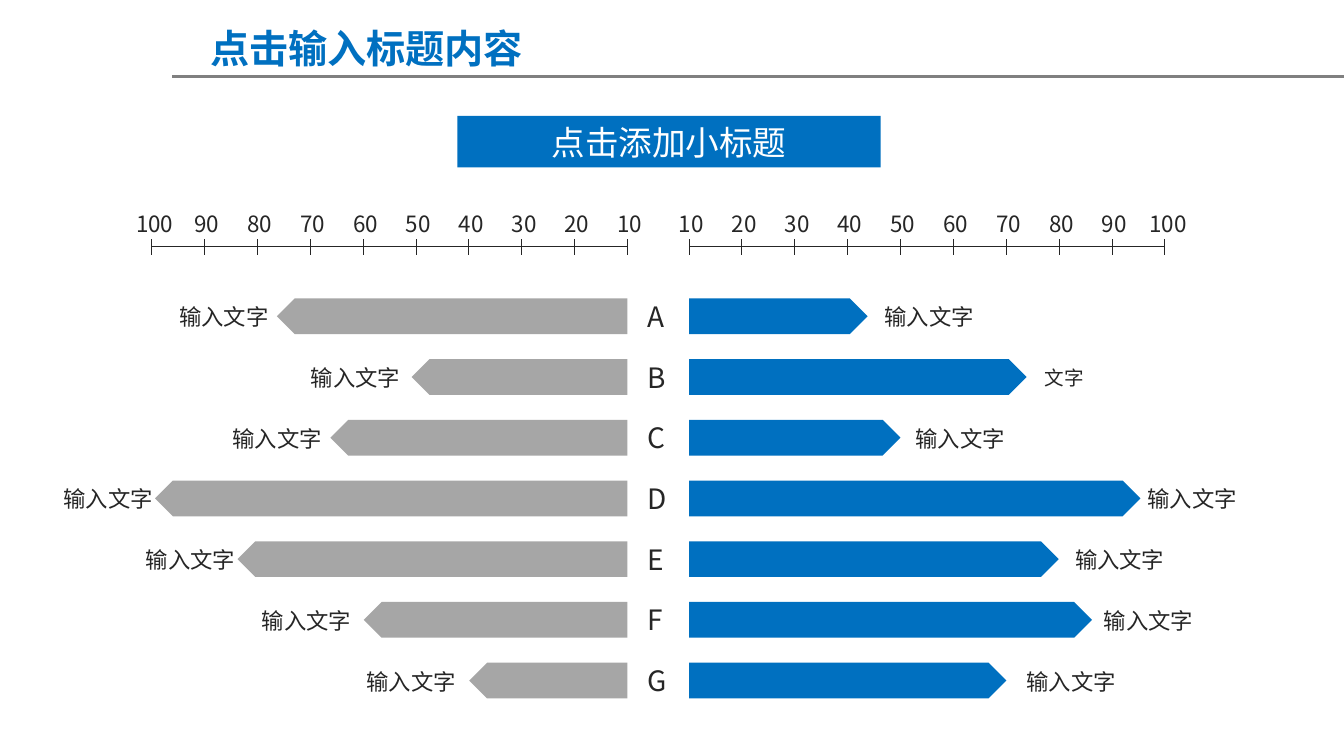
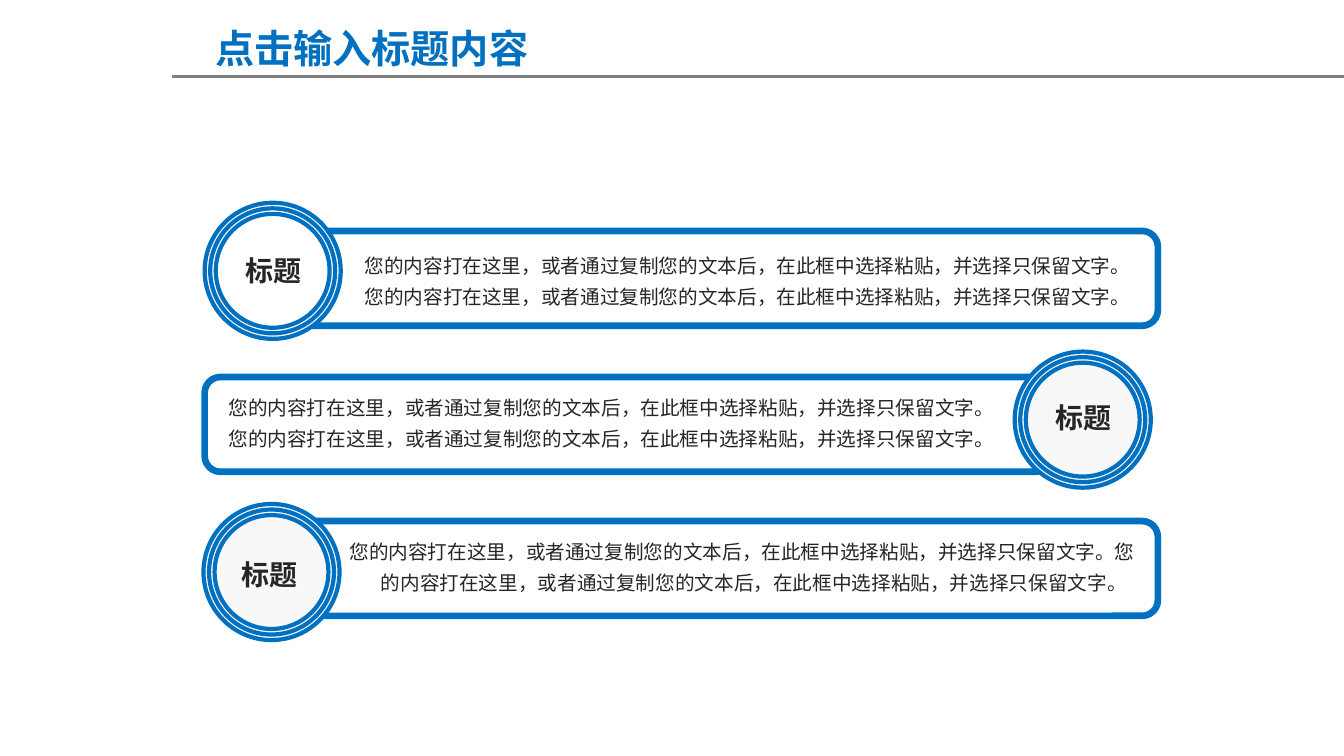
from dataclasses import dataclass

from lxml import etree
from pptx import Presentation
from pptx import util as u
from pptx.dml.color import RGBColor
from pptx.enum import shapes, text
from pptx.oxml.ns import qn

Cm = u.Cm
Kind = shapes.MSO_SHAPE
Align = text.PP_ALIGN


@dataclass(frozen=True)
class Theme:
    """Colours, font and type sizes of the deck."""
    blue: str = "0070C0"
    gray: str = "A6A6A6"
    rule: str = "808080"
    ink: str = "262626"
    pale: str = "F8F8F8"
    white: str = "FFFFFF"
    font: str = "Noto Sans CJK SC"
    title: int = 28
    banner: int = 24
    head: int = 20
    label: int = 16
    body: int = 14


T = Theme()
WIDE, HIGH = 33.88, 19.05
SCALE = [str(n) for n in range(10, 101, 10)]
STEP, AXIS = 1.333, 6.22
LEFT, RIGHT = 15.82, 17.37
TOP, PITCH, BAR = 7.52, 1.53, 0.9
WORD = "输入文字"
ROWS = [
    ("A", 8.84, 4.27, 4.5, 22.05, WORD),
    ("B", 5.44, 7.59, 8.51, 26.09, "文字"),
    ("C", 7.49, 5.61, 5.33, 22.83, WORD),
    ("D", 11.91, 1.35, 11.38, 28.68, WORD),
    ("E", 9.83, 3.43, 9.32, 26.85, WORD),
    ("F", 6.65, 6.35, 10.16, 27.58, WORD),
    ("G", 3.99, 8.99, 8.0, 25.63, WORD),
]
LINE = "您的内容打在这里，或者通过复制您的文本后，在此框中选择粘贴，并选择只保留文字。"
CARDS = [
    dict(frame=(7.52, 5.82, 21.67, 2.39), ring=(5.16, 5.11), core=T.white,
         cap=(5.21, 6.27, 3.38, 1.12), side=Align.CENTER,
         body=(8.94, 6.1, 19.86, 1.73), hang=0),
    dict(frame=(5.16, 9.5, 21.34, 2.39), ring=(25.58, 8.86), core=None,
         cap=(26.37, 9.98, 2.77, 1.12), side=Align.LEFT,
         body=(5.51, 9.68, 19.91, 2.49), hang=0),
    dict(frame=(7.52, 13.13, 21.67, 2.39), ring=(5.13, 12.7), core=None,
         cap=(5.84, 13.92, 3.18, 1.12), side=Align.LEFT,
         body=(8.56, 13.31, 20.6, 1.73), hang=0.79),
]


def rgb(code):
    """Turn a hex code into a colour."""
    return RGBColor.from_string(code)


def write(para, words, size, color=T.ink, bold=False):
    """Add one formatted run to a paragraph."""
    run = para.add_run()
    run.text = words
    font = run.font
    font.size, font.bold, font.name = u.Pt(size), bold, T.font
    font.color.rgb = rgb(color)
    east = etree.SubElement(run._r.get_or_add_rPr(), qn("a:ea"))
    east.set("typeface", T.font)


def label(host, box, words, size, wrap=True, bold=False, side=Align.LEFT):
    """Add a text box and return its paragraph."""
    frame = host.add_textbox(*map(Cm, box)).text_frame
    frame.word_wrap = wrap
    frame.auto_size = text.MSO_AUTO_SIZE.SHAPE_TO_FIT_TEXT
    para = frame.paragraphs[0]
    para.alignment = side
    write(para, words, size, bold=bold)
    return para


def block(host, kind, box, fill=None, width=0):
    """Add a preset shape with an optional fill and blue outline."""
    shape = host.add_shape(kind, *map(Cm, box))
    shape.shadow.inherit = False
    if fill:
        shape.fill.solid()
        shape.fill.fore_color.rgb = rgb(fill)
    else:
        shape.fill.background()
    if width:
        shape.line.color.rgb = rgb(T.blue)
        shape.line.width = u.Pt(width)
    else:
        shape.line.fill.background()
    return shape


def stroke(host, ends, color=T.ink, width=0.75):
    """Add a straight line without a shadow."""
    line = host.add_connector(shapes.MSO_CONNECTOR.STRAIGHT, *map(Cm, ends))
    line.line.color.rgb = rgb(color)
    line.line.width = u.Pt(width)
    etree.SubElement(line._element.spPr, qn("a:effectLst"))
    return line


def page(deck, layout, left):
    """Add a slide with the shared title style."""
    slide = deck.slides.add_slide(layout)
    title = slide.shapes.title
    title.left, title.top, title.width, title.height = map(
        Cm, (left, 0.48, 9.14, 1.45))
    frame = title.text_frame
    frame.vertical_anchor = text.MSO_ANCHOR.TOP
    frame.auto_size = text.MSO_AUTO_SIZE.SHAPE_TO_FIT_TEXT
    para = frame.paragraphs[0]
    para.alignment = Align.CENTER
    write(para, "点击输入标题内容", T.title, T.blue, True)
    return slide


def axis(host, start, way):
    """Draw a scale running left (-1) or right (1) from its start."""
    marks = [start + way * STEP * i for i in range(len(SCALE))]
    group = host.add_group_shape().shapes
    stroke(group, (min(marks), AXIS, max(marks), AXIS))
    for x in marks:
        stroke(group, (x, AXIS + 0.2, x, AXIS - 0.2))
    for x, tag in zip(marks, SCALE):
        wide = 0.47 + 0.35 * len(tag)
        mid = x + 0.04 * len(tag)
        label(host, (mid - wide / 2, 5.18, wide, 0.94), tag, T.label, False)


def pair(host, y, row):
    """Draw a letter with its left and right bars and labels."""
    name, back, near, ahead, far, words = row
    arrow = block(host, Kind.PENTAGON, (LEFT - back, y, back, BAR), T.gray)
    arrow._element.spPr.xfrm.set("flipH", "1")
    block(host, Kind.PENTAGON, (RIGHT, y, ahead, BAR), T.blue)
    label(host, (near, y, 2.79, 0.94), WORD, T.label, False)
    if words == WORD:
        label(host, (far, y, 2.79, 0.94), words, T.label, False)
    else:
        label(host, (far, y + 0.04, 1.5, 0.86), words, T.body, False)
    label(host, (16.08, y - 0.1, 1.1, 1.12), name, T.head)


def ring(host, x, y, core):
    """Draw three nested circles."""
    group = host.add_group_shape().shapes
    for i, fill in enumerate((T.pale, core, None)):
        gap, size = 0.14 * i, 3.43 - 0.28 * i
        block(group, Kind.OVAL, (x + gap, y + gap, size, size), fill, 3)


def card(host, frame, ring_at, core, cap, side, body, hang):
    """Draw a framed paragraph with a round heading."""
    block(host, Kind.ROUNDED_RECTANGLE, frame, width=4.75)
    ring(host, *ring_at, core)
    label(host, cap, "标题", T.head, bold=True, side=side)
    para = label(host, body, LINE * 2, T.body)
    para.line_spacing = 1.3
    if hang:
        props = para._p.get_or_add_pPr()
        props.set("marL", str(Cm(hang)))
        props.set("indent", str(-Cm(hang)))


def bars(slide):
    """Fill the slide with the two-sided bar diagram."""
    host = slide.shapes
    axis(host, LEFT, -1)
    axis(host, RIGHT, 1)
    for i, row in enumerate(ROWS):
        pair(host, TOP + PITCH * i, row)
    banner = block(host, Kind.RECTANGLE, (11.53, 2.92, 10.67, 1.3), T.blue)
    frame = banner.text_frame
    frame.vertical_anchor = text.MSO_ANCHOR.MIDDLE
    para = frame.paragraphs[0]
    para.alignment = Align.CENTER
    write(para, "点击添加小标题", T.banner, T.white)


def cards(slide):
    """Fill the slide with the three cards."""
    for item in CARDS:
        card(slide.shapes, item["frame"], item["ring"], item["core"],
             item["cap"], item["side"], item["body"], item["hang"])


def main():
    """Build and save the deck."""
    deck = Presentation()
    deck.slide_width, deck.slide_height = Cm(WIDE), Cm(HIGH)
    layout = deck.slide_layouts[5]
    first = page(deck, layout, 4.67)
    rule = stroke(first.shapes, (4.34, 1.93, WIDE, 1.93), T.rule, 2)
    layout.shapes._spTree.append(rule._element)
    bars(first)
    cards(page(deck, layout, 4.8))
    deck.save("out.pptx")


if __name__ == "__main__":
    main()
